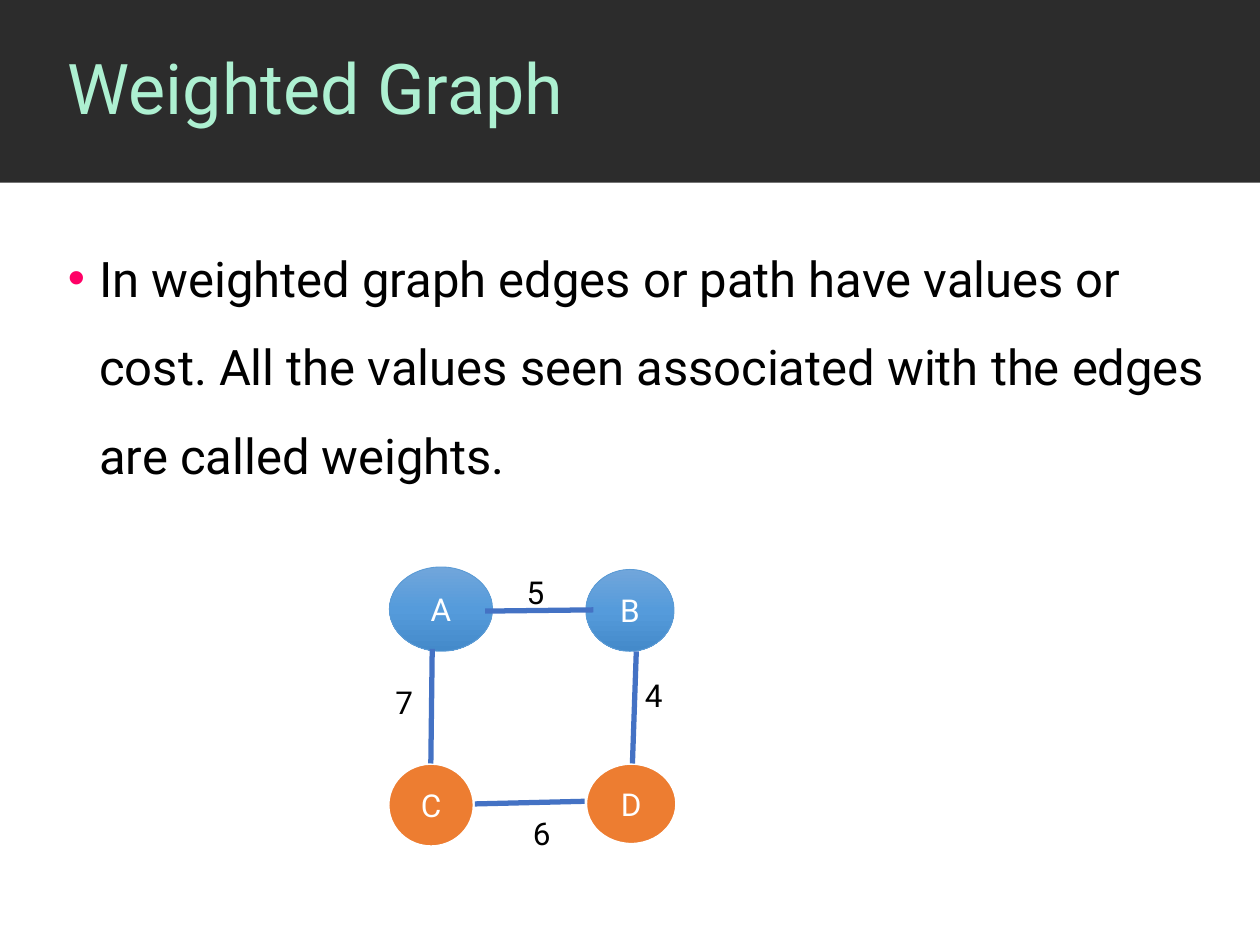
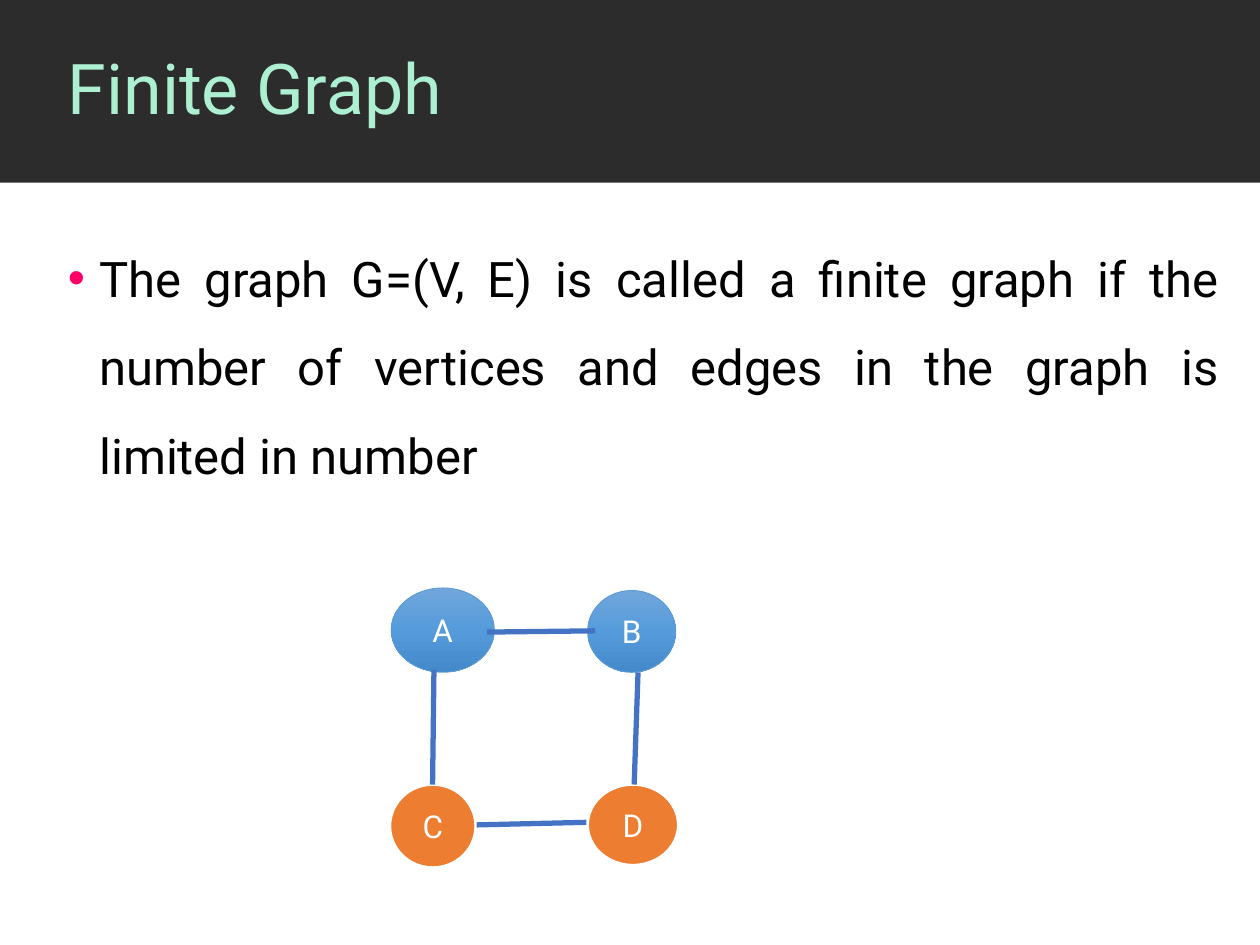
"""Build two slides that explain weighted and finite graphs."""
from copy import deepcopy
from dataclasses import dataclass

from lxml.etree import SubElement
from pptx import Presentation
from pptx.dml.color import RGBColor
from pptx.enum.shapes import MSO_CONNECTOR, MSO_SHAPE
from pptx.enum.text import MSO_ANCHOR, PP_ALIGN
from pptx.oxml.ns import qn
from pptx.util import Pt


@dataclass(frozen=True)
class Theme:
    font: str = "Roboto"
    band: str = "2C2C2C"
    title: str = "ADF0D1"
    text: str = "000000"
    bullet: str = "FF0066"
    edge: str = "4472C4"
    light: str = "FFFFFF"
    lower_node: str = "ED7D31"
    upper_outline: str = "5B9BD5"
    upper_gradient: tuple = ((0, "71A6DB"), (0.5, "559BDB"), (1, "448ACA"))
    title_size: int = 40
    body_size: int = 28
    graph_size: int = 18


THEME = Theme()
PAGE_WIDTH, PAGE_HEIGHT = 720, 540
BAND_HEIGHT = 104.4
MARGIN = 31.7

UPPER_NODES = {"A": (222.5, 324, 59, 48.2), "B": (334.8, 325.4, 50.4, 46.8)}
LOWER_NODES = {"C": (221.8, 436.3, 49, 47.5), "D": (334.8, 436.3, 51.8, 46.1)}
EDGES = (
    (247, 370.8, 246.2, 436.3),
    (363.6, 372.2, 361.4, 436.3),
    (334.1, 457.9, 271.4, 459.4),
    (339.1, 348.5, 277.2, 349.2),
)
WEIGHTS = {"5": (293.8, 324), "7": (218.9, 386.6), "6": (297.4, 461.5), "4": (361.4, 383)}


def colour(value):
    return RGBColor.from_string(value)


def style_text(paragraph, size, value):
    font = paragraph.font
    font.name, font.size = THEME.font, Pt(size)
    font.color.rgb = colour(value)


def add_text(page, text, left, top, width, height, size, value):
    box = page.shapes.add_textbox(Pt(left), Pt(top), Pt(width), Pt(height))
    box.text_frame.word_wrap = True
    paragraph = box.text_frame.paragraphs[0]
    paragraph.text = text
    style_text(paragraph, size, value)
    return box


def add_title_band(page, title):
    band = page.shapes.add_shape(
        MSO_SHAPE.RECTANGLE, 0, 0, Pt(PAGE_WIDTH), Pt(BAND_HEIGHT))
    band.shadow.inherit = False
    band.fill.solid()
    band.fill.fore_color.rgb = colour(THEME.band)
    band.line.fill.background()
    box = add_text(page, title, MARGIN, 0, PAGE_WIDTH - MARGIN, BAND_HEIGHT,
                   THEME.title_size, THEME.title)
    box.text_frame.vertical_anchor = MSO_ANCHOR.MIDDLE
    box.text_frame.paragraphs[0].line_spacing = 0.9


def add_bullet(paragraph):
    properties = paragraph._p.get_or_add_pPr()
    properties.set("marL", str(Pt(18)))
    properties.set("indent", str(-Pt(18)))
    bullet_colour = SubElement(properties, qn("a:buClr"))
    SubElement(bullet_colour, qn("a:srgbClr"), val=THEME.bullet)
    SubElement(properties, qn("a:buFont"), typeface="Arial")
    SubElement(properties, qn("a:buChar"), char="•")


def add_definition(page, text, alignment):
    box = page.shapes.add_textbox(Pt(MARGIN), Pt(121.7), Pt(671.8), Pt(403.2))
    box.text_frame.word_wrap = True
    paragraph = box.text_frame.paragraphs[0]
    paragraph.text = text
    add_bullet(paragraph)
    paragraph.alignment = alignment
    paragraph.line_spacing = 1.5
    style_text(paragraph, THEME.body_size, THEME.text)


def fill_gradient(shape, stops):
    shape.fill.gradient()
    shape.fill.gradient_angle = 270
    stop_list = shape.element.spPr.find(".//" + qn("a:gsLst"))
    stop_list.append(deepcopy(stop_list[0]))
    for stop, (position, value) in zip(shape.fill.gradient_stops, stops):
        stop.position = position
        stop.color.rgb = colour(value)


def add_node(page, name, left, top, width, height):
    node = page.shapes.add_shape(
        MSO_SHAPE.OVAL, Pt(left), Pt(top), Pt(width), Pt(height))
    node.shadow.inherit = False
    if name in UPPER_NODES:
        fill_gradient(node, THEME.upper_gradient)
        outline, weight = THEME.upper_outline, 0.5
    else:
        node.fill.solid()
        node.fill.fore_color.rgb = colour(THEME.lower_node)
        outline, weight = THEME.light, 1.5
    node.line.color.rgb = colour(outline)
    node.line.width = Pt(weight)
    node.text_frame.vertical_anchor = MSO_ANCHOR.MIDDLE
    paragraph = node.text_frame.paragraphs[0]
    paragraph.text = name
    paragraph.alignment = PP_ALIGN.CENTER
    style_text(paragraph, THEME.graph_size, THEME.light)


def add_edge(page, *ends):
    edge = page.shapes.add_connector(MSO_CONNECTOR.STRAIGHT, *map(Pt, ends))
    edge.line.color.rgb = colour(THEME.edge)
    edge.line.width = Pt(3)
    SubElement(edge._element.spPr, qn("a:effectLst"))


def add_graph(page, right=0, down=0, weights=None):
    for name, (left, top, width, height) in (LOWER_NODES | UPPER_NODES).items():
        add_node(page, name, left + right, top + down, width, height)
    for x1, y1, x2, y2 in EDGES:
        add_edge(page, x1 + right, y1 + down, x2 + right, y2 + down)
    for weight, (left, top) in (weights or {}).items():
        add_text(page, weight, left + right, top + down, 25.2, 28.8,
                 THEME.graph_size, THEME.text)


def add_page(deck, title, definition, alignment):
    page = deck.slides.add_slide(deck.slide_layouts[6])
    add_title_band(page, title)
    add_definition(page, definition, alignment)
    return page


def main():
    deck = Presentation()
    deck.slide_width, deck.slide_height = Pt(PAGE_WIDTH), Pt(PAGE_HEIGHT)

    weighted = add_page(
        deck, "Weighted Graph",
        "In weighted graph edges or path have values or cost. All the values "
        "seen associated with the edges are called weights.", PP_ALIGN.LEFT)
    add_graph(weighted, weights=WEIGHTS)

    finite = add_page(
        deck, "Finite Graph",
        "The graph G=(V, E) is called a finite graph if the number of vertices "
        "and edges in the graph is limited in number", PP_ALIGN.JUSTIFY)
    add_graph(finite, right=1, down=12)

    deck.save("out.pptx")


if __name__ == "__main__":
    main()
